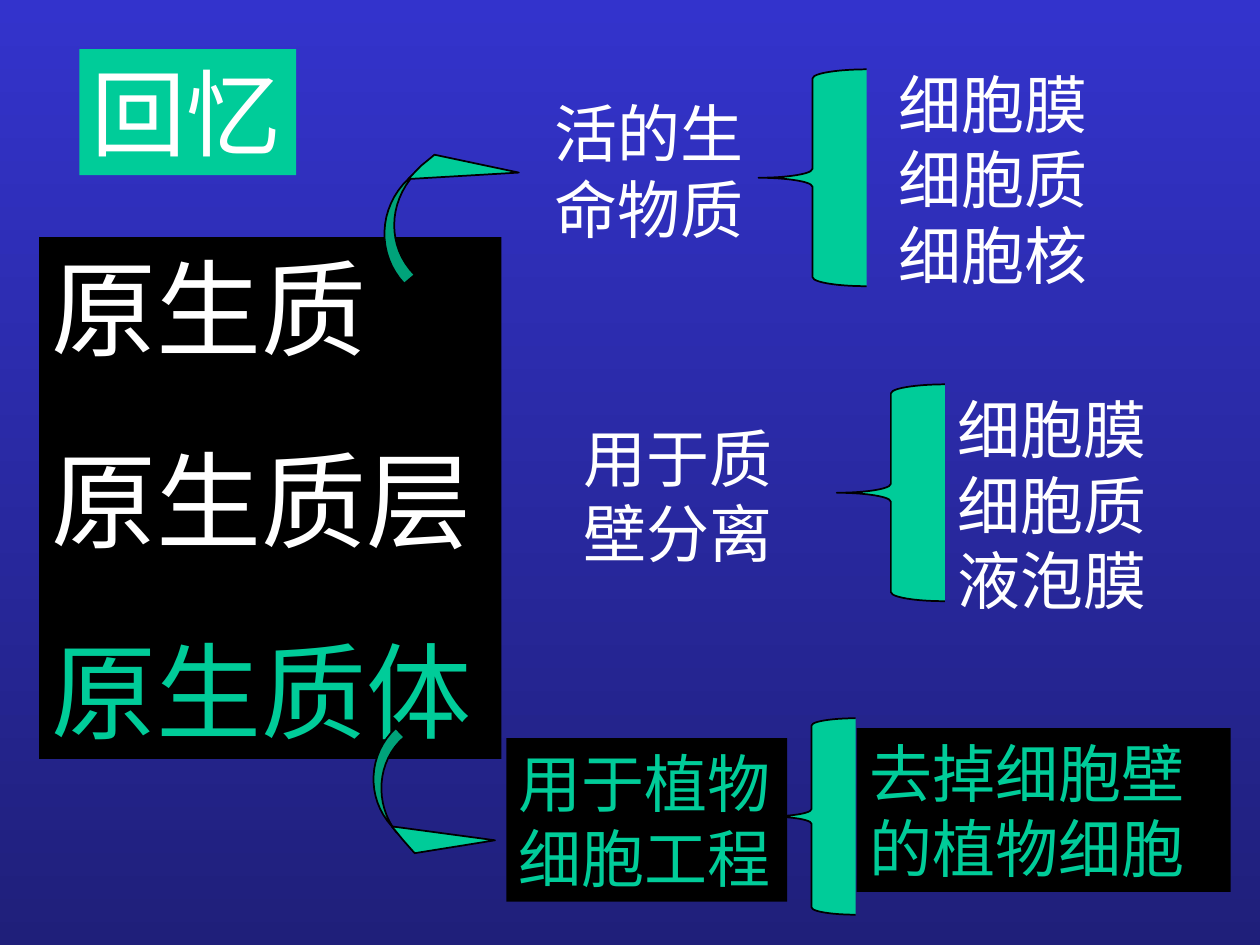
import pptx
import pptx.dml.color
import pptx.enum.shapes
import pptx.enum.text
import pptx.util
from pptx.oxml.ns import qn

GREEN, DARK_GREEN, WHITE, BLACK = "00CC99", "00A37A", "FFFFFF", "000000"
SKY = ["3333CC", "1F1F7A"]

# Content; every length is in centimetres: left, top, width, height
HEADING = ("回忆", (1.6, 0.99, 4.37, 2.54))
TERMS = [("原生质", WHITE), ("原生质层", WHITE), ("原生质体", GREEN)]
TERMS_AREA = (0.79, 4.78, 9.32, 10.52)

NOTES = [  # text, area, text colour, fill
    ("细胞膜细胞质液泡膜", (19.05, 7.75, 4.95, 4.83), WHITE, None),
    ("用于质壁分离", (11.51, 8.33, 4.95, 3.3), WHITE, None),
    ("活的生命物质", (10.92, 1.78, 4.95, 3.3), WHITE, None),
    ("细胞膜细胞质细胞核", (17.86, 1.19, 4.95, 4.83), WHITE, None),
    ("用于植物细胞工程", (10.21, 14.88, 5.66, 3.3), GREEN, BLACK),
    ("去掉细胞壁的植物细胞", (17.27, 14.68, 7.54, 3.3), GREEN, BLACK),
]
BRACES = [(16.87, 7.75, 2.18, 4.37), (15.29, 1.4, 2.18, 4.37), (15.47, 14.48, 1.78, 3.96)]

ARROWS = [  # two cubic curves bound the tail, a polygon makes the head
    {"outer": [(8.15, 5.72), (7.59, 5.13), (7.62, 4.19), (8.23, 3.61)],
     "inner": [(8.36, 3.51), (7.82, 4.09), (7.8, 4.98), (8.36, 5.54)],
     "head": [(8.23, 3.61), (8.48, 3.35), (8.76, 3.12), (10.46, 3.48)]},
    {"outer": [(7.98, 14.68), (7.42, 15.19), (7.37, 16.08), (7.9, 16.66)],
     "inner": [(8, 16.79), (7.54, 16.21), (7.59, 15.34), (8.15, 14.86)],
     "head": [(7.9, 16.66), (8.13, 16.94), (8.36, 17.2), (9.98, 16.94)]},
]


def rgb(value):
    return pptx.dml.color.RGBColor.from_string(value)


def cm(values):
    return [pptx.util.Cm(value) for value in values]


def paint(shape, fill, line=None):
    if fill:
        shape.fill.solid()
        shape.fill.fore_color.rgb = rgb(fill)
    if line:
        shape.line.color.rgb = rgb(line)
        shape.line.width = pptx.util.Pt(1)
        shape.shadow.inherit = False


def place(shape, area):
    shape.left, shape.top, shape.width, shape.height = cm(area)


def write(paragraph, text, size, color, before=0):
    properties = paragraph._p.get_or_add_pPr()
    properties.set("marL", "0")
    properties.set("indent", "0")
    properties.append(properties.makeelement(qn("a:buNone"), {}))
    paragraph.alignment = pptx.enum.text.PP_ALIGN.LEFT
    paragraph.space_before = pptx.util.Pt(before)
    run = paragraph.add_run()
    run.text = text
    run.font.size = pptx.util.Pt(size)
    run.font.name = "Times New Roman"
    run.font.color.rgb = rgb(color)


def prepare(frame):
    frame.word_wrap = True
    frame.auto_size = pptx.enum.text.MSO_AUTO_SIZE.NONE
    frame.vertical_anchor = pptx.enum.text.MSO_ANCHOR.TOP


def curve(points, steps=16):
    weights = [((1 - t) ** 3, 3 * t * (1 - t) ** 2, 3 * t * t * (1 - t), t ** 3)
               for t in (step / steps for step in range(steps + 1))]
    return [tuple(sum(w * p[axis] for w, p in zip(row, points)) for axis in (0, 1))
            for row in weights]


def outline(shapes, points, fill):
    start, *rest = [cm(point) for point in points]
    builder = shapes.build_freeform(*start)
    builder.add_line_segments(rest, close=True)
    paint(builder.convert_to_shape(), fill, BLACK)


def main():
    deck = pptx.Presentation()
    deck.slide_width, deck.slide_height = cm((25.4, 19.05))
    slide = deck.slides.add_slide(deck.slide_layouts[1])
    shapes = slide.shapes

    # Background running from top to bottom
    backdrop = slide.background.fill
    backdrop.gradient()
    backdrop.gradient_angle = 270
    for position, (stop, color) in enumerate(zip(backdrop.gradient_stops, SKY)):
        stop.position = position
        stop.color.rgb = rgb(color)

    # Heading and list of terms
    heading, terms = shapes.title, slide.placeholders[1]
    text, area = HEADING
    place(heading, area)
    paint(heading, GREEN)
    prepare(heading.text_frame)
    write(heading.text_frame.paragraphs[0], text, 54, WHITE)

    place(terms, TERMS_AREA)
    paint(terms, BLACK)
    prepare(terms.text_frame)
    for index, (term, color) in enumerate(TERMS):
        frame = terms.text_frame
        paragraph = frame.add_paragraph() if index else frame.paragraphs[0]
        write(paragraph, term, 60, color, before=37.5 if index else 0)

    # Explanations
    for text, area, color, fill in NOTES:
        note = shapes.add_textbox(*cm(area))
        paint(note, fill)
        prepare(note.text_frame)
        write(note.text_frame.paragraphs[0], text, 36, color)

    # Braces
    for area in BRACES:
        brace = shapes.add_shape(pptx.enum.shapes.MSO_SHAPE.LEFT_BRACE, *cm(area))
        paint(brace, GREEN, BLACK)

    # Curved arrows
    for arrow in ARROWS:
        outline(shapes, curve(arrow["outer"]) + curve(arrow["inner"]), DARK_GREEN)
        outline(shapes, arrow["head"], GREEN)

    deck.save("out.pptx")


if __name__ == "__main__":
    main()
